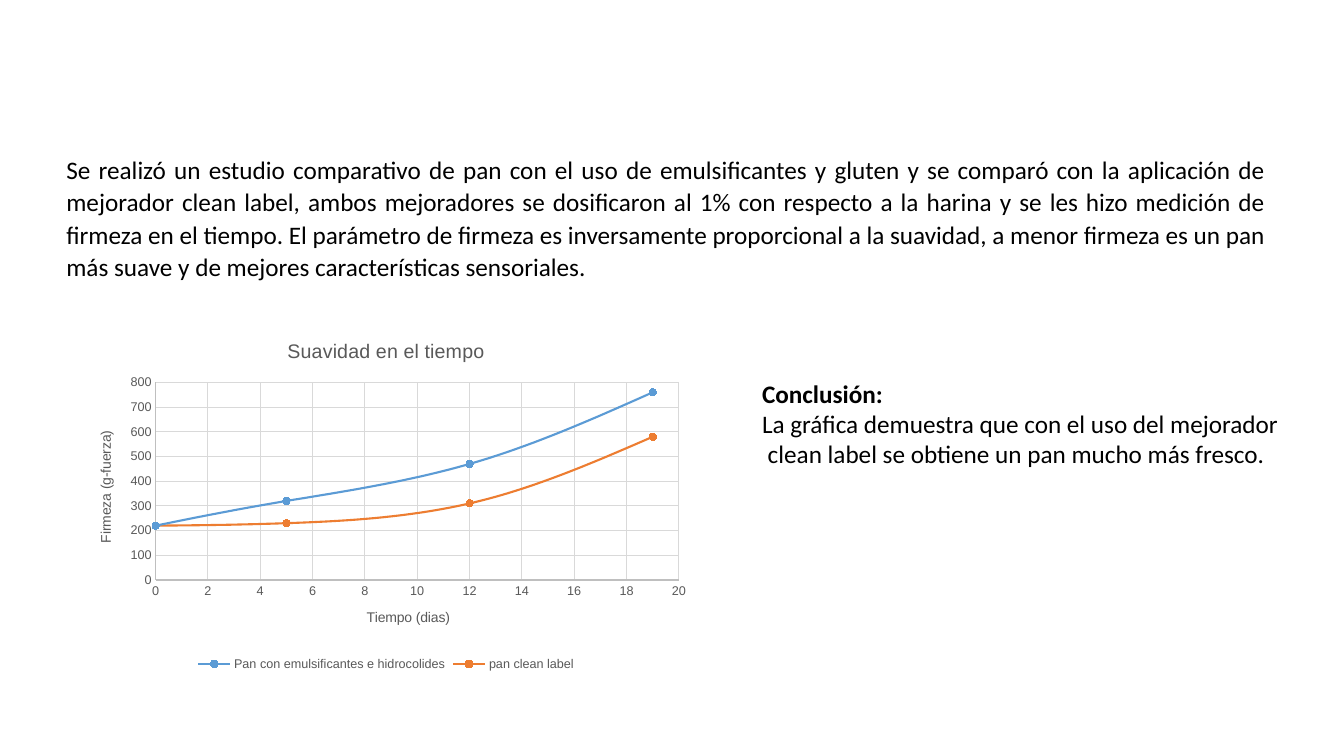
import pptx
import pptx.util
import pptx.dml.color
import pptx.chart.data
import pptx.enum.chart
import pptx.enum.text
import pptx.oxml
import pptx.oxml.ns

Inches, Pt = pptx.util.Inches, pptx.util.Pt
GREY, GRID, EDGE = "595959", "D9D9D9", "BFBFBF"
STUDY = (
    "Se realizó un estudio comparativo de pan con el uso de emulsificantes y gluten "
    "y se comparó con la aplicación de mejorador clean label, ambos mejoradores se "
    "dosificaron al 1% con respecto a la harina y se les hizo medición de firmeza en "
    "el tiempo. El parámetro de firmeza es inversamente proporcional a la suavidad, a "
    "menor firmeza es un pan más suave y de mejores características sensoriales."
)
CLOSING = [
    ("Conclusión:", True),
    ("La gráfica demuestra que con el uso del mejorador", False),
    (" clean label se obtiene un pan mucho más fresco.", False),
]
DAYS = [0, 5, 12, 19]
BREADS = [
    ("Pan con emulsificantes e hidrocolides", "5B9BD5", [220, 320, 470, 760]),
    ("pan clean label", "ED7D31", [220, 230, 310, 580]),
]


def color(code):
    """Turn a hex string into a colour."""
    return pptx.dml.color.RGBColor.from_string(code)


def assign(item, values):
    """Set each named attribute of an item."""
    for name, value in values.items():
        setattr(item, name, value)


def style(font, size, code, face="Arial", bold=False):
    """Format a font."""
    assign(font, {"size": Pt(size), "name": face, "bold": bold})
    font.color.rgb = color(code)


def stroke(line, code, width):
    """Format a line."""
    line.color.rgb = color(code)
    line.width = Pt(width)


def add_text(slide, box, lines, format=None):
    """Write paragraphs of (text, bold) in a box."""
    frame = slide.shapes.add_textbox(*map(Inches, box)).text_frame
    frame.word_wrap = True
    for index, (text, bold) in enumerate(lines):
        para = frame.add_paragraph() if index else frame.paragraphs[0]
        assign(para, format or {})
        run = para.add_run()
        run.text = text
        style(run.font, 18, "000000", "Calibri", bold)


def add_title(owner, text, size):
    """Title a chart or an axis."""
    frame = (owner.chart_title if hasattr(owner, "chart_title") else owner.axis_title).text_frame
    frame.text = text
    style(frame.paragraphs[0].runs[0].font, size, GREY)


def set_axis(axis, title, top, step):
    """Scale and format one axis."""
    assign(axis, {
        "minimum_scale": 0, "maximum_scale": top, "major_unit": step,
        "major_tick_mark": pptx.enum.chart.XL_TICK_MARK.NONE,
        "minor_tick_mark": pptx.enum.chart.XL_TICK_MARK.NONE,
        "has_major_gridlines": True,
    })
    style(axis.tick_labels.font, 9, GREY)
    stroke(axis.format.line, EDGE, 0.75)
    stroke(axis.major_gridlines.format.line, GRID, 0.75)
    add_title(axis, title, 10)


def set_plot(chart, x, y, w, h):
    """Place the inner plot area by fractions of the chart."""
    area = chart.plots[0]._element.getparent()
    for old in area.findall(pptx.oxml.ns.qn("c:layout")):
        area.remove(old)
    parts = {"layoutTarget": "inner", "xMode": "edge", "yMode": "edge",
             "x": x, "y": y, "w": w, "h": h}
    marks = "".join(f'<c:{name} val="{value}"/>' for name, value in parts.items())
    area.insert(0, pptx.oxml.parse_xml(
        f'<c:layout {pptx.oxml.ns.nsdecls("c")}><c:manualLayout>{marks}'
        '</c:manualLayout></c:layout>'))


def add_graph(slide, box):
    """Draw the firmness curves in a box."""
    data = pptx.chart.data.XyChartData()
    for name, _, values in BREADS:
        series = data.add_series(name)
        for day, value in zip(DAYS, values):
            series.add_data_point(day, value)
    kind = pptx.enum.chart.XL_CHART_TYPE.XY_SCATTER_SMOOTH
    chart = slide.shapes.add_chart(kind, *map(Inches, box), data).chart
    style(chart.font, 10, "000000")
    add_title(chart, "Suavidad en el tiempo", 14)
    set_axis(chart.category_axis, "Tiempo (dias)", 20, 2)
    set_axis(chart.value_axis, "Firmeza (g-fuerza)", 800, 100)
    set_plot(chart, 0.13, 0.17, 0.84, 0.56)
    chart.has_legend = True
    assign(chart.legend, {"position": pptx.enum.chart.XL_LEGEND_POSITION.BOTTOM,
                          "include_in_layout": False})
    style(chart.legend.font, 9, GREY)
    chart.plots[0].vary_by_categories = False
    for series, (_, code, _) in zip(chart.plots[0].series, BREADS):
        series._element.get_or_add_smooth().val = True
        stroke(series.format.line, code, 1.5)
        mark = series.marker
        assign(mark, {"style": pptx.enum.chart.XL_MARKER_STYLE.CIRCLE, "size": 5})
        mark.format.fill.solid()
        mark.format.fill.fore_color.rgb = color(code)
        stroke(mark.format.line, code, 0.75)


def main():
    """Build and save the slide."""
    deck = pptx.Presentation()
    assign(deck, {"slide_width": Inches(13.33), "slide_height": Inches(7.5)})
    slide = deck.slides.add_slide(deck.slide_layouts[6])
    add_text(slide, (0.56, 1.46, 12.09, 1.4), [(STUDY, False)],
             {"alignment": pptx.enum.text.PP_ALIGN.JUSTIFY, "line_spacing": 1.07})
    add_graph(slide, (0.74, 3.2, 6.18, 3.5))
    add_text(slide, (7.46, 3.7, 5.39, 1.62), CLOSING)
    deck.save("out.pptx")


if __name__ == "__main__":
    main()
